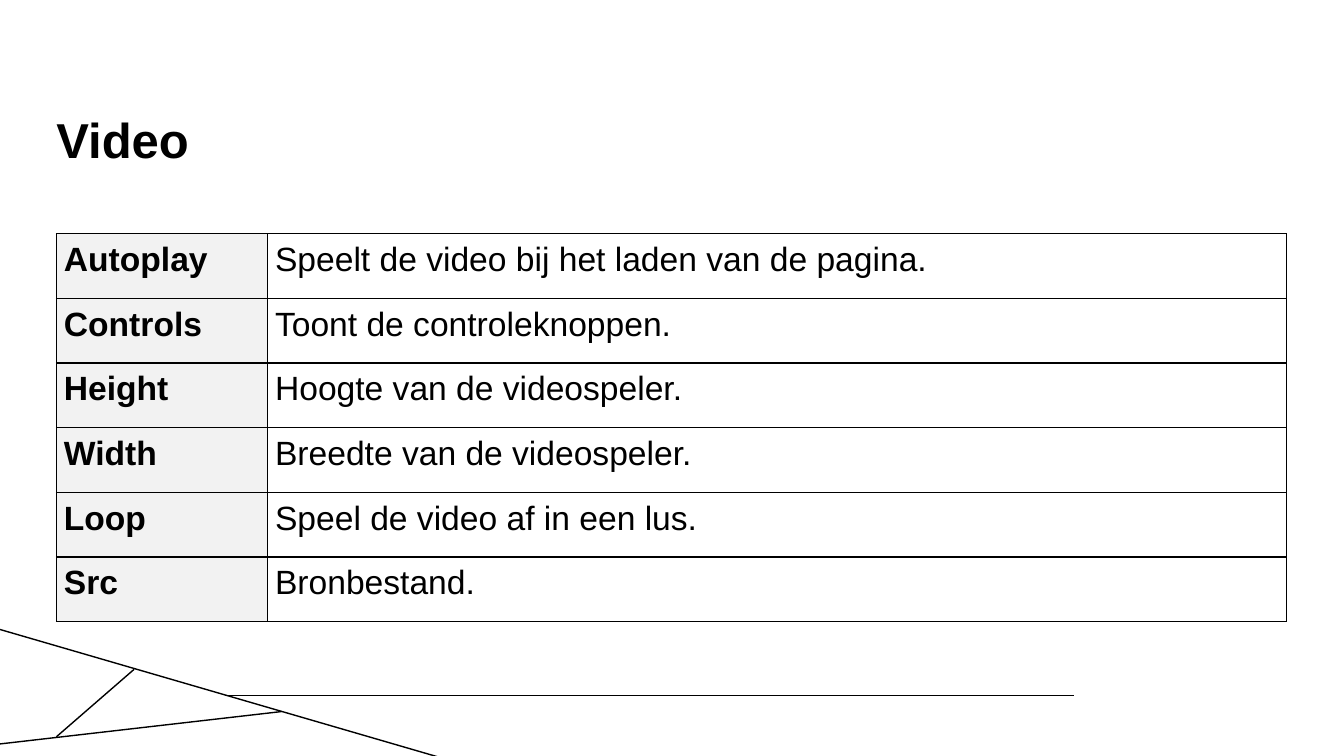
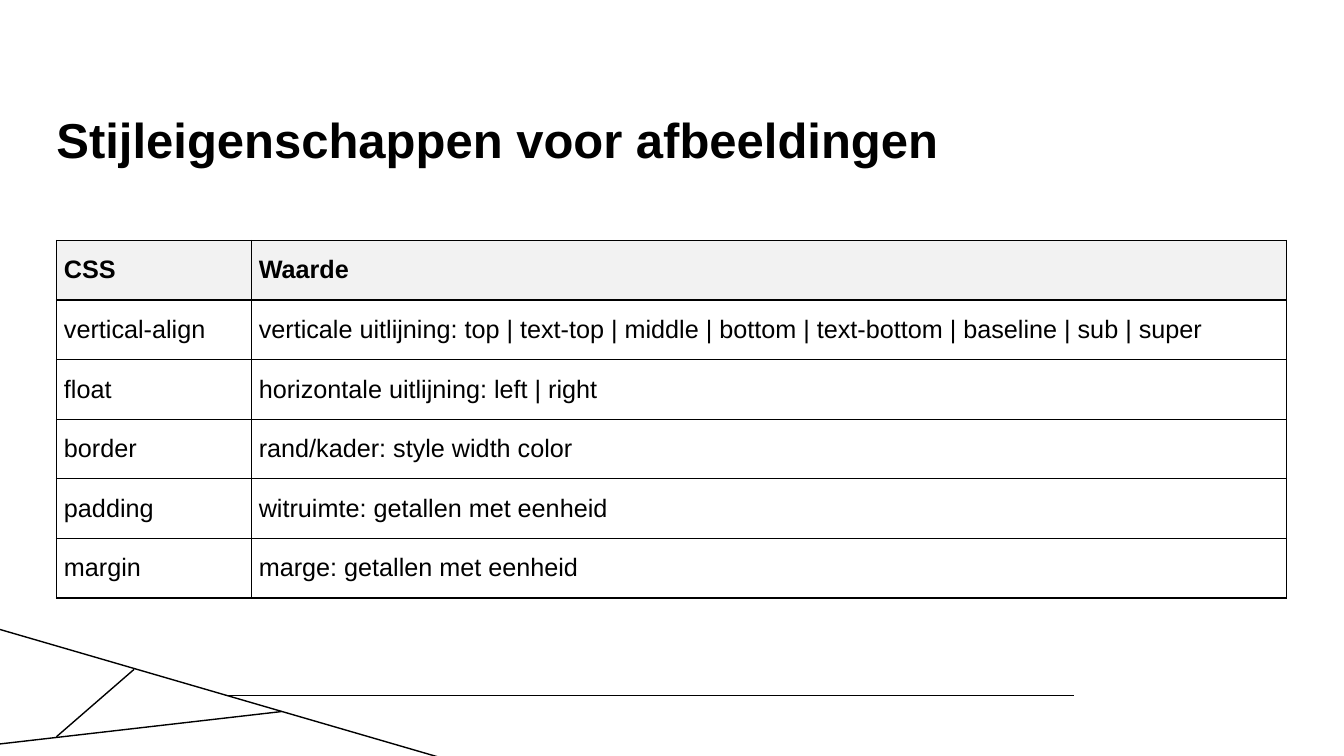
from dataclasses import dataclass

from lxml.etree import SubElement
from pptx import Presentation
from pptx.dml.color import RGBColor
from pptx.enum.shapes import MSO_CONNECTOR
from pptx.enum.text import MSO_ANCHOR
from pptx.oxml.ns import qn
from pptx.util import Pt


@dataclass(frozen=True)
class Theme:
    font: str = "Arial"
    ink: RGBColor = RGBColor(0, 0, 0)
    paper: RGBColor = RGBColor(255, 255, 255)
    header: RGBColor = RGBColor(0xF2, 0xF2, 0xF2)
    title_size: int = 35
    line_width: int = 1
    left: float = 40.3
    width: float = 878.4


T = Theme()

# Corner line art and footer rule: x1, y1, x2, y2
LINES = [
    (160.6, 496.8, 767.5, 496.8),
    (0, 531.4, 200.9, 508.3),
    (-3.6, 448.6, 318.2, 542.2),
    (95.8, 478.1, 40.3, 526.3),
]

# Slide content; "header" names the shaded, bold part of the table
SLIDES = [
    dict(
        title="Video", header="column", top=167, first_col=150.8, row_height=46.2,
        size=24, spacing=1.2, anchor=MSO_ANCHOR.TOP,
        rows=[
            ("Autoplay", "Speelt de video bij het laden van de pagina."),
            ("Controls", "Toont de controleknoppen."),
            ("Height", "Hoogte van de videospeler."),
            ("Width", "Breedte van de videospeler."),
            ("Loop", "Speel de video af in een lus."),
            ("Src", "Bronbestand."),
        ],
    ),
    dict(
        title="Stijleigenschappen voor afbeeldingen", header="row", top=171.7,
        first_col=139.2, row_height=42.6,
        size=18, spacing=1.0, anchor=MSO_ANCHOR.MIDDLE,
        rows=[
            ("CSS", "Waarde"),
            ("vertical-align", "verticale uitlijning: top | text-top | middle | bottom"
                               " | text-bottom | baseline | sub | super"),
            ("float", "horizontale uitlijning: left | right"),
            ("border", "rand/kader: style width color"),
            ("padding", "witruimte: getallen met eenheid"),
            ("margin", "marge: getallen met eenheid"),
        ],
    ),
]


def write(tf, text, size, bold, spacing):
    tf.text = text
    p = tf.paragraphs[0]
    p.line_spacing = spacing
    font = p.runs[0].font
    font.name, font.size, font.bold = T.font, Pt(size), bold
    font.color.rgb = T.ink


def add_borders(cell):
    tc_pr = cell._tc.get_or_add_tcPr()
    for side in ("lnL", "lnR", "lnT", "lnB"):
        ln = SubElement(tc_pr, qn(f"a:{side}"), w=str(Pt(T.line_width)))
        SubElement(SubElement(ln, qn("a:solidFill")), qn("a:srgbClr"), val=str(T.ink))


prs = Presentation()
prs.slide_width, prs.slide_height = Pt(960), Pt(540)

for data in SLIDES:
    s = prs.slides.add_slide(prs.slide_layouts[6])
    s.background.fill.solid()
    s.background.fill.fore_color.rgb = T.paper

    # Line art
    for ends in LINES:
        line = s.shapes.add_connector(MSO_CONNECTOR.STRAIGHT, *map(Pt, ends))
        line.line.color.rgb = T.ink
        line.line.width = Pt(T.line_width)
        SubElement(line._element.spPr, qn("a:effectLst"))

    # Title
    sp = s.shapes.add_textbox(Pt(T.left), Pt(82.8), Pt(T.width), Pt(77))
    tf = sp.text_frame
    tf.word_wrap = True
    tf.margin_left = tf.margin_right = tf.margin_top = tf.margin_bottom = 0
    write(tf, data["title"], T.title_size, True, 0.9)

    # Table
    rows = data["rows"]
    table = s.shapes.add_table(
        len(rows), 2, Pt(T.left), Pt(data["top"]),
        Pt(T.width), Pt(data["row_height"] * len(rows))).table
    table.horz_banding = False
    table.first_row = data["header"] == "row"
    table.first_col = data["header"] == "column"
    table.columns[0].width = Pt(data["first_col"])
    table.columns[1].width = Pt(T.width - data["first_col"])

    for i, texts in enumerate(rows):
        table.rows[i].height = Pt(data["row_height"])
        for j, text in enumerate(texts):
            cell = table.cell(i, j)
            is_header = (i if data["header"] == "row" else j) == 0
            cell.margin_left = cell.margin_right = Pt(5.4)
            cell.margin_top = cell.margin_bottom = 0
            cell.vertical_anchor = data["anchor"]
            write(cell.text_frame, text, data["size"], is_header, data["spacing"])
            add_borders(cell)
            if is_header:
                cell.fill.solid()
                cell.fill.fore_color.rgb = T.header
            else:
                cell.fill.background()

prs.save("out.pptx")
